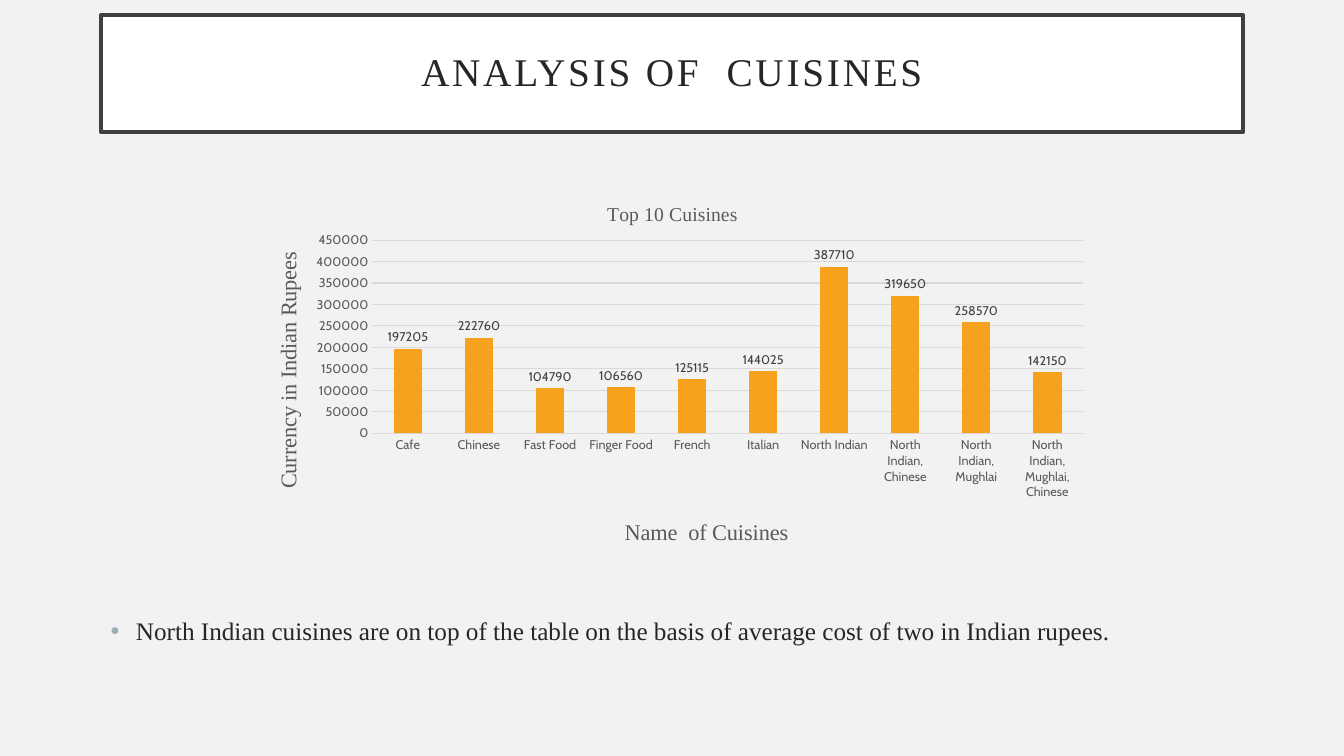
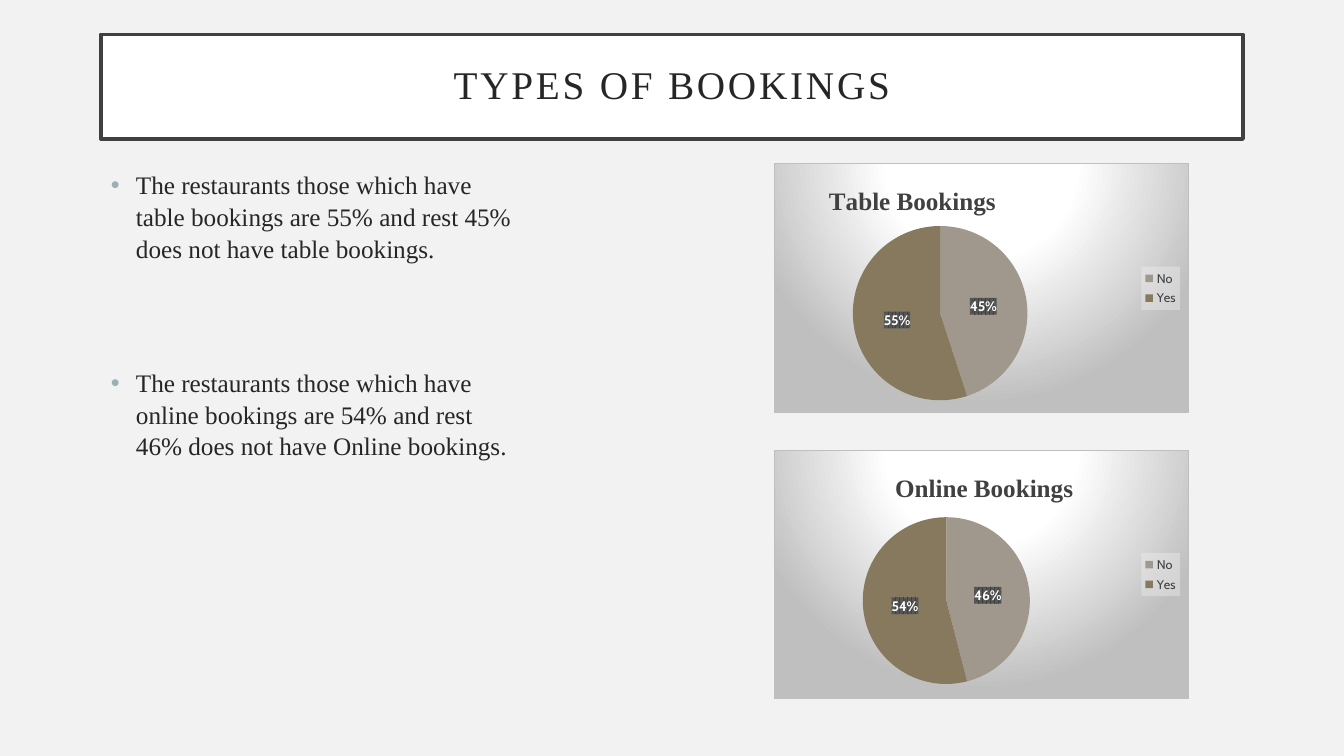
from dataclasses import dataclass

from lxml import etree
from pptx import Presentation
from pptx.chart.data import CategoryChartData
from pptx.dml.color import RGBColor
from pptx.enum.chart import XL_CHART_TYPE as ChartType
from pptx.enum.chart import XL_LABEL_POSITION as LabelPosition
from pptx.enum.chart import XL_LEGEND_POSITION as LegendPosition
from pptx.enum.chart import XL_TICK_MARK as TickMark
from pptx.enum.shapes import MSO_SHAPE as Preset
from pptx.enum.text import MSO_ANCHOR as Anchor
from pptx.enum.text import PP_ALIGN as Align
from pptx.oxml import parse_xml
from pptx.oxml.ns import nsdecls, qn
from pptx.util import Inches, Pt


@dataclass(frozen=True)
class Theme:
    serif: str = "Times New Roman"
    sans: str = "Cabin"
    background: str = "F2F2F2"
    white: str = "FFFFFF"
    black: str = "000000"
    text: str = "262626"
    dark: str = "404040"
    gray: str = "595959"
    grid: str = "D9D9D9"
    border: str = "BFBFBF"
    bullet: str = "9BAFB5"
    bar: str = "F6A21D"
    slices: tuple = ("A0988C", "87795D")
    title_size: float = 28
    body_size: float = 18
    chart_title_size: float = 14
    axis_title_size: float = 16
    chart_size: float = 10
    label_size: float = 9


def apply(target, values):
    for name, value in values.items():
        setattr(target, name, value)


def rgb(color):
    return RGBColor.from_string(color)


def style_font(font, name, size, color, bold=False):
    apply(font, {"name": name, "size": Pt(size), "bold": bold})
    font.color.rgb = rgb(color)


def color_xml(color, alpha=100):
    return f'<a:srgbClr val="{color}"><a:alpha val="{alpha * 1000}"/></a:srgbClr>'


def style_box(element, content):
    properties = parse_xml(f'<c:spPr {nsdecls("c", "a")}>{content}</c:spPr>')
    element.find(qn("c:txPr")).addprevious(properties)


def place(element, index, **fractions):
    for layout in element.findall(qn("c:layout")):
        element.remove(layout)
    target = '<c:layoutTarget val="inner"/>' if "w" in fractions else ""
    modes = '<c:xMode val="edge"/><c:yMode val="edge"/>'
    values = "".join(f'<c:{name} val="{value}"/>' for name, value in fractions.items())
    element.insert(index, parse_xml(
        f'<c:layout {nsdecls("c")}><c:manualLayout>{target}{modes}{values}'
        "</c:manualLayout></c:layout>"))


class Deck:
    def __init__(self, theme):
        self.theme = theme
        self.presentation = Presentation()
        apply(self.presentation, {"slide_width": Inches(13.33), "slide_height": Inches(7.5)})
        self.slide = None

    def add_slide(self, title, top, height):
        theme = self.theme
        self.slide = self.presentation.slides.add_slide(self.presentation.slide_layouts[6])
        fill = self.slide.background.fill
        fill.solid()
        fill.fore_color.rgb = rgb(theme.background)
        band = self.slide.shapes.add_shape(
            Preset.RECTANGLE, Inches(1), Inches(top), Inches(11.33), Inches(height))
        band.shadow.inherit = False
        band.fill.solid()
        band.fill.fore_color.rgb = rgb(theme.white)
        band.line.color.rgb = rgb(theme.dark)
        band.line.width = Pt(2.5)
        frame = band.text_frame
        apply(frame, {"word_wrap": True, "vertical_anchor": Anchor.MIDDLE})
        apply(frame, {f"margin_{side}": Inches(0.2)
                      for side in ("left", "top", "right", "bottom")})
        paragraph = frame.paragraphs[0]
        apply(paragraph, {"alignment": Align.CENTER, "line_spacing": 0.9})
        run = paragraph.add_run()
        run.text = title
        style_font(run.font, theme.serif, theme.title_size, theme.text)
        run.font._element.set("spc", "200")

    def add_bullets(self, texts, top, width, height, gap=0):
        theme = self.theme
        box = self.slide.shapes.add_textbox(
            Inches(1), Inches(top), Inches(width), Inches(height))
        frame = box.text_frame
        frame.word_wrap = True
        for index, text in enumerate(texts):
            paragraph = frame.add_paragraph() if index else frame.paragraphs[0]
            apply(paragraph, {"line_spacing": 1.05, "space_before": Pt(gap if index else 0)})
            run = paragraph.add_run()
            run.text = text
            style_font(run.font, theme.serif, theme.body_size, theme.text)
            properties = paragraph._p.get_or_add_pPr()
            properties.set("marL", str(Inches(0.25)))
            properties.set("indent", str(-Inches(0.25)))
            color = etree.SubElement(properties, qn("a:buClr"))
            etree.SubElement(color, qn("a:srgbClr")).set("val", theme.bullet)
            etree.SubElement(properties, qn("a:buFont")).set("typeface", "Arial")
            etree.SubElement(properties, qn("a:buChar")).set("char", "•")

    def add_chart(self, kind, box, categories, values, plot_area):
        data = CategoryChartData()
        data.categories = categories
        data.add_series("Series 1", values)
        chart = self.slide.shapes.add_chart(kind, *map(Inches, box), data).chart
        style_font(chart.font, self.theme.sans, self.theme.chart_size, self.theme.black)
        area = chart.element.find(qn("c:chart")).find(qn("c:plotArea"))
        place(area, 0, **dict(zip("xywh", plot_area)))
        return chart

    def add_chart_title(self, title, text, size, color, position, bold=False, rotation=0):
        frame = title.text_frame
        run = frame.paragraphs[0].add_run()
        run.text = text
        style_font(run.font, self.theme.serif, size, color, bold)
        body = frame._txBody.find(qn("a:bodyPr"))
        body.set("rot", str(rotation * 60000))
        body.set("vert", "horz")
        place(title._element, 1, **dict(zip("xy", position)))

    def add_column_chart(self, box, categories, values, title, axis_titles, plot_area):
        theme = self.theme
        chart = self.add_chart(ChartType.COLUMN_CLUSTERED, box, categories, values, plot_area)
        apply(chart, {"has_legend": False, "has_title": True})
        self.add_chart_title(chart.chart_title, title[0], theme.chart_title_size,
                             theme.gray, title[1])
        axes = (chart.category_axis, chart.value_axis)
        for axis, (text, position, rotation) in zip(axes, axis_titles):
            apply(axis, {"major_tick_mark": TickMark.NONE,
                         "minor_tick_mark": TickMark.NONE, "has_title": True})
            style_font(axis.tick_labels.font, theme.sans, theme.label_size, theme.gray)
            axis.format.line.fill.background()
            self.add_chart_title(axis.axis_title, text, theme.axis_title_size,
                                 theme.gray, position, rotation=rotation)
        apply(chart.value_axis, {"minimum_scale": 0, "maximum_scale": 450000,
                                 "major_unit": 50000, "has_major_gridlines": True})
        line = chart.value_axis.major_gridlines.format.line
        line.color.rgb = rgb(theme.grid)
        line.width = Pt(0.75)
        plot = chart.plots[0]
        apply(plot, {"gap_width": 150, "vary_by_categories": False, "has_data_labels": True})
        fill = plot.series[0].format.fill
        fill.solid()
        fill.fore_color.rgb = rgb(theme.bar)
        labels = plot.data_labels
        style_font(labels.font, theme.sans, theme.label_size, theme.dark)
        apply(labels, {"show_value": True, "position": LabelPosition.OUTSIDE_END})

    def add_pie_chart(self, box, categories, values, title, plot_area):
        theme = self.theme
        chart = self.add_chart(ChartType.PIE, box, categories, values, plot_area)
        apply(chart, {"has_title": True, "has_legend": True})
        self.add_chart_title(chart.chart_title, title[0], theme.body_size,
                             theme.dark, title[1], bold=True)
        stops = "".join(
            f'<a:gs pos="{position * 1000}">{color_xml(color)}</a:gs>'
            for position, color in ((0, theme.white), (39, theme.white), (100, theme.border)))
        style_box(chart.element,
                  f'<a:gradFill><a:gsLst>{stops}</a:gsLst><a:path path="circle">'
                  '<a:fillToRect l="50000" t="-80000" r="50000" b="180000"/></a:path>'
                  f'</a:gradFill><a:ln w="{Pt(0.75)}"><a:solidFill>'
                  f'{color_xml(theme.border)}</a:solidFill></a:ln>')
        legend = chart.legend
        apply(legend, {"position": LegendPosition.RIGHT, "include_in_layout": False})
        style_font(legend.font, theme.sans, theme.label_size, theme.dark)
        style_box(legend._element,
                  f'<a:solidFill>{color_xml(theme.background, 39)}</a:solidFill>')
        plot = chart.plots[0]
        apply(plot, {"vary_by_categories": True, "has_data_labels": True})
        for index, color in enumerate(theme.slices):
            fill = plot.series[0].points[index].format.fill
            fill.solid()
            fill.fore_color.rgb = rgb(color)
        labels = plot.data_labels
        style_font(labels.font, theme.sans, theme.chart_size, theme.white, True)
        apply(labels, {"show_percentage": True, "show_value": False,
                       "number_format": "0%", "number_format_is_linked": False,
                       "position": LabelPosition.CENTER})
        style_box(labels._element,
                  f'<a:pattFill prst="pct75"><a:fgClr>{color_xml(theme.dark)}</a:fgClr>'
                  f'<a:bgClr>{color_xml(theme.gray)}</a:bgClr></a:pattFill>')


def main():
    deck = Deck(Theme())

    deck.add_slide("ANALYSIS OF  CUISINES", 0.15, 1.16)
    deck.add_bullets(["North Indian cuisines are on top of the table on the basis of "
                      "average cost of two in Indian rupees."], 6.04, 11.33, 0.64)
    cuisines = {
        "Cafe": 197205, "Chinese": 222760, "Fast Food": 104790, "Finger Food": 106560,
        "French": 125115, "Italian": 144025, "North Indian": 387710,
        "North Indian, Chinese": 319650, "North Indian, Mughlai": 258570,
        "North Indian, Mughlai, Chinese": 142150,
    }
    deck.add_column_chart(
        (2.42, 1.77, 8.49, 3.83), list(cuisines), list(cuisines.values()),
        ("Top 10 Cuisines", (0.42, 0.05)),
        (("Name  of Cuisines", (0.44, 0.87), 0),
         ("Currency in Indian Rupees", (0.03, 0.18), -90)),
        (0.15, 0.16, 0.83, 0.5))

    deck.add_slide("TYPES OF BOOKINGS", 0.34, 1.04)
    deck.add_bullets(
        ["The restaurants those which have table bookings are 55% and rest 45% "
         "does not have table bookings.",
         "The restaurants those which have online bookings are 54% and rest 46% "
         "does not have Online bookings."], 1.62, 4.29, 3.69, gap=73)
    bookings = (
        ("Table Bookings", (0.12, 0.07), (45, 55), (0.03, 0.25, 0.74, 0.7)),
        ("Online Bookings", (0.28, 0.07), (46, 54), (0.04, 0.27, 0.75, 0.67)),
    )
    for index, (text, position, values, plot_area) in enumerate(bookings):
        deck.add_pie_chart((7.68, 1.62 + 2.84 * index, 4.11, 2.48), ("No", "Yes"),
                           values, (text, position), plot_area)

    deck.presentation.save("out.pptx")


if __name__ == "__main__":
    main()
